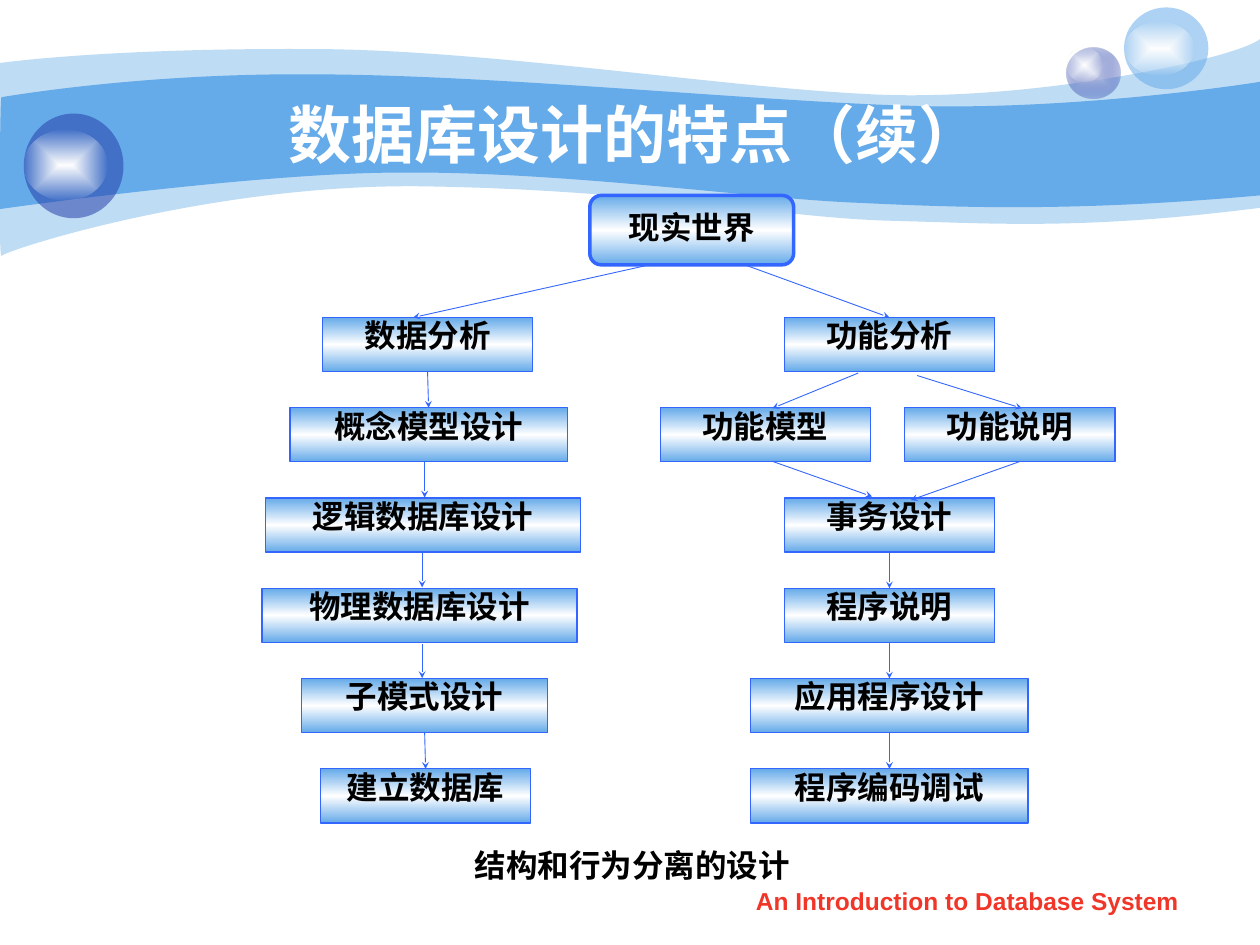
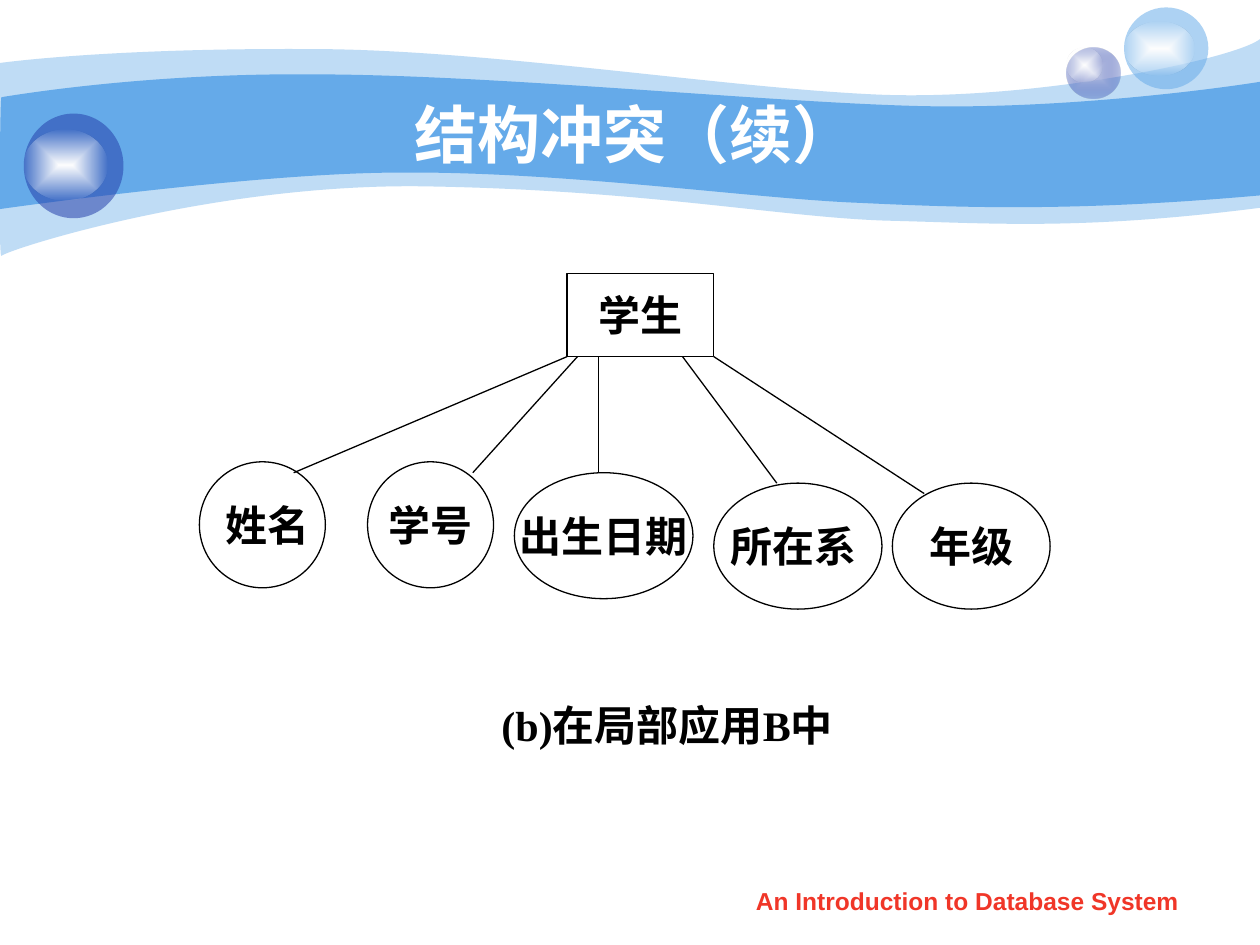
from lxml import etree
from pptx import Presentation
from pptx.dml.color import RGBColor
from pptx.enum.shapes import MSO_CONNECTOR, MSO_SHAPE
from pptx.enum.text import MSO_ANCHOR, PP_ALIGN
from pptx.oxml import parse_xml
from pptx.oxml.ns import nsdecls, qn
from pptx.util import Cm, Pt

WHITE = RGBColor(0xFF, 0xFF, 0xFF)
BLACK = RGBColor(0x00, 0x00, 0x00)
RED = RGBColor(0xF0, 0x36, 0x28)
SKY = RGBColor(0x65, 0xAA, 0xE9)
NAVY = RGBColor(0x23, 0x3D, 0xA9)
LILAC = RGBColor(0xC6, 0xCC, 0xE8)
EDGE_BLUE = RGBColor(0x33, 0x66, 0xFF)
SERIF, SANS = "Times New Roman", "Arial"

# Fills with transparency or several stops
COLOUR = '<a:srgbClr val="{}"><a:alpha val="{}000"/></a:srgbClr>'
SOLID = f"<a:solidFill {nsdecls('a')}>{COLOUR}</a:solidFill>"
GLOW = (f"<a:gradFill {nsdecls('a')}><a:gsLst>"
        f'<a:gs pos="0">{COLOUR}</a:gs><a:gs pos="100000">{COLOUR}</a:gs></a:gsLst>'
        '<a:path path="rect"><a:fillToRect l="50000" t="50000" r="50000" b="50000"/>'
        "</a:path></a:gradFill>")
SHINE = GLOW.format(WHITE, 100, "FEFEFE", 0)
STRIPE = (f"<a:gradFill {nsdecls('a')}><a:gsLst>"
          + "".join(f'<a:gs pos="{stop}000"><a:srgbClr val="{colour}"/></a:gs>'
                    for stop, colour in ((0, SKY), (50, WHITE), (100, SKY)))
          + '</a:gsLst><a:lin ang="5400000" scaled="0"/></a:gradFill>')


def add_box(page, preset, place, text="", size=18, font=SERIF, colour=BLACK, fill=None,
            edge=None, edge_width=0.75, anchor=MSO_ANCHOR.MIDDLE,
            align=PP_ALIGN.CENTER, wrap=False, spacing=None):
    """Place a preset shape, or a text box when preset is None (lengths in cm)."""
    place = [Cm(length) for length in place]
    if preset is None:
        box = page.shapes.add_textbox(*place)
    else:
        box = page.shapes.add_shape(preset, *place)
        box.shadow.inherit = False
        box.fill.background()
        if fill:
            properties = box._element.spPr
            properties.replace(properties.find(qn("a:noFill")), parse_xml(fill))
        if edge is None:
            box.line.fill.background()
        else:
            box.line.color.rgb = edge
            box.line.width = Pt(edge_width)
    if text:
        frame = box.text_frame
        frame.word_wrap = wrap
        frame.vertical_anchor = anchor
        para = frame.paragraphs[0]
        para.text = text
        para.alignment = align
        para.line_spacing = spacing
        para.font.name, para.font.size, para.font.bold = font, Pt(size), True
        para.font.color.rgb = colour
    return box


def add_line(page, start, end, colour, width, arrow=False):
    """Join two ends, each a point in cm or a box (bottom side to top side)."""
    first, last = [side if isinstance(side, tuple) else (0, 0) for side in (start, end)]
    line = page.shapes.add_connector(MSO_CONNECTOR.STRAIGHT, Cm(first[0]), Cm(first[1]),
                                     Cm(last[0]), Cm(last[1]))
    if not isinstance(start, tuple):
        line.begin_connect(start, 2)
    if not isinstance(end, tuple):
        line.end_connect(end, 0)
    line.line.color.rgb = colour
    line.line.width = Pt(width)
    if arrow:
        line.line._get_or_add_ln().append(
            parse_xml(f'<a:tailEnd {nsdecls("a")} type="stealth" w="sm" len="sm"/>'))
    line._element.spPr.append(parse_xml(f"<a:effectLst {nsdecls('a')}/>"))


# Waves: a start point, then curves (two controls and an end) or straight steps
WAVES = [
    (SOLID.format(SKY, 41), (0, 1.27), [
        (0.61, 1.19, 2.72, 0.97, 6.27, 0.99), (9.8, 0.99, 14.61, 1.78, 17.75, 1.91),
        (20.88, 2.03, 24.89, 1.19, 25.4, 0.79), (25.4, 4.19),
        (21.79, 4.65, 19.99, 4.5, 17.91, 4.45), (15.8, 4.39, 13.08, 3.84, 8.71, 3.76),
        (4.37, 3.66, 0.1, 5.05, 0.03, 5.16), (-0.03, 5.28, 0, 1.91, 0, 1.27)]),
    (SOLID.format(SKY, 100), (0.03, 1.96), [
        (0.05, 1.96, 2.79, 1.47, 6.3, 1.5), (9.8, 1.5, 15.11, 2.03, 18.24, 2.13),
        (21.36, 2.24, 24.79, 1.75, 25.4, 1.65), (25.4, 3.94),
        (21.67, 4.27, 19.43, 4.19, 17.32, 4.09), (15.21, 4.01, 11.35, 3.45, 8.05, 3.48),
        (5.16, 3.48, -0.05, 4.22, -0.03, 4.22), (0, 4.22, 0, 1.96, 0.03, 1.96)]),
]
BUBBLES = [
    ((21.51, 0.97, 1.07, 1.02), GLOW.format(LILAC, 100, NAVY, 31)),
    ((21.51, 0.97, 0.71, 0.69), SHINE),
    ((22.66, 0.15, 1.7, 1.65), SOLID.format(SKY, 53)),
    ((22.66, 0.43, 1.42, 1.09), SHINE),
    ((0.48, 2.29, 2.01, 2.11), SOLID.format(NAVY, 53)),
    ((0.48, 2.62, 1.68, 1.42), SHINE),
]

deck = Presentation()
deck.slide_width, deck.slide_height = Cm(25.4), Cm(19.05)

# Shared header, title and footer
pages = []
for title in ("数据库设计的特点（续）", "结构冲突（续）"):
    page = deck.slides.add_slide(deck.slide_layouts[6])
    pages.append(page)
    for fill, start, segments in WAVES:
        points = [(Cm(segment[i]), Cm(segment[i + 1]))
                  for segment in segments for i in range(0, len(segment), 2)]
        builder = page.shapes.build_freeform(Cm(start[0]), Cm(start[1]))
        builder.add_line_segments(points, close=True)
        wave = builder.convert_to_shape()
        wave.shadow.inherit = False
        wave.line.fill.background()
        wave.fill.background()
        properties = wave._element.spPr
        properties.replace(properties.find(qn("a:noFill")), parse_xml(fill))
        # Turn each run of two controls and an end into one curve
        corners = iter(list(properties.iter(qn("a:lnTo"))))
        for segment in segments:
            corner = next(corners)
            if len(segment) == 6:
                curve = etree.Element(qn("a:cubicBezTo"))
                corner.addprevious(curve)
                for part in (corner, next(corners), next(corners)):
                    curve.append(part[0])
                    part.getparent().remove(part)
    for place, fill in BUBBLES:
        add_box(page, MSO_SHAPE.OVAL, place, fill=fill)
    add_box(page, None, (2.54, 1.9, 20.52, 1.57), title, 36, SANS, WHITE, wrap=True)
    add_box(page, None, (14.5, 17.73, 10.01, 0.89), "An Introduction to Database System",
            14, SANS, RED, anchor=MSO_ANCHOR.TOP, wrap=True)

design_page, conflict_page = pages

# Slide 1: design steps as (text, centre, row, width)
FIRST_ROW, ROW_STEP, STEP_HEIGHT = 6.4, 1.82, 1.09
FUNCTION_CENTRE = 17.93
STEPS = [
    ("数据分析", 8.62, 0, 4.24),
    ("概念模型设计", 8.64, 1, 5.59),
    ("逻辑数据库设计", 8.53, 2, 6.35),
    ("物理数据库设计", 8.46, 3, 6.35),
    ("子模式设计", 8.56, 4, 4.95),
    ("建立数据库", 8.58, 5, 4.24),
    ("功能分析", FUNCTION_CENTRE, 0, 4.24),
    ("功能模型", 15.43, 1, 4.24),
    ("功能说明", 20.36, 1, 4.24),
    ("事务设计", FUNCTION_CENTRE, 2, 4.24),
    ("程序说明", FUNCTION_CENTRE, 3, 4.24),
    ("应用程序设计", FUNCTION_CENTRE, 4, 5.59),
    ("程序编码调试", FUNCTION_CENTRE, 5, 5.59),
]
steps = {}
for text, centre, row, width in STEPS:
    place = (centre - width / 2, FIRST_ROW + row * ROW_STEP, width, STEP_HEIGHT)
    steps[text] = add_box(design_page, MSO_SHAPE.RECTANGLE, place, text, fill=STRIPE,
                          edge=EDGE_BLUE, anchor=MSO_ANCHOR.TOP, wrap=True, spacing=0.8)

# Arrows between the steps
for start, end, width in (
    ((13.13, 5.33), (8.33, 6.4), 0.5),
    (steps["数据分析"], steps["概念模型设计"], 0.5),
    ((8.56, 9.32), (8.56, 10.03), 0.5),
    ((8.51, 11.15), (8.51, 11.84), 0.5),
    ((8.51, 12.98), (8.51, 13.67), 0.5),
    (steps["子模式设计"], steps["建立数据库"], 0.5),
    ((14.99, 5.33), steps["功能分析"], 0.5),
    ((17.3, 7.52), (15.57, 8.23), 0.5),
    ((18.49, 7.57), (20.6, 8.23), 0.5),
    ((15.57, 9.3), (17.58, 10.01), 0.5),
    ((20.57, 9.3), (18.36, 10.08), 0.5),
    (steps["事务设计"], steps["程序说明"], 0.5),
    (steps["程序说明"], steps["应用程序设计"], 0.5),
    (steps["应用程序设计"], steps["程序编码调试"], 0.75),
):
    add_line(design_page, start, end, EDGE_BLUE, width, arrow=True)

add_box(design_page, MSO_SHAPE.ROUNDED_RECTANGLE, (11.89, 3.94, 4.11, 1.4), "现实世界",
        fill=STRIPE, edge=EDGE_BLUE, edge_width=2, spacing=0.8)
add_box(design_page, None, (9.32, 16.92, 6.99, 1.02), "结构和行为分离的设计",
        align=PP_ALIGN.LEFT)

# Slide 2: the entity, its attributes and the lines between them
ENTITY_BOTTOM = 7.19
add_box(conflict_page, MSO_SHAPE.RECTANGLE, (11.43, 5.51, 2.95, 1.68), "学生", 24, edge=BLACK)
for text, left, top, width, line_start, line_end in (
    (" 姓名", 4.02, 9.31, 2.54, 11.43, (5.92, 9.53)),
    ("学号", 7.41, 9.31, 2.54, 11.64, (9.53, 9.53)),
    ("出生日期", 10.37, 9.53, 3.6, 12.07, (12.07, 9.53)),
    ("所在系 ", 14.39, 9.74, 3.39, 13.76, (15.66, 9.74)),
    ("年级", 17.99, 9.74, 3.18, 14.39, (18.63, 9.95)),
):
    add_box(conflict_page, MSO_SHAPE.OVAL, (left, top, width, 2.54), text, 24, edge=BLACK)
    add_line(conflict_page, (line_start, ENTITY_BOTTOM), line_end, BLACK, 0.75)
add_box(conflict_page, None, (9.32, 13.76, 8.26, 1.69), "(b)在局部应用B中", 24)

deck.save("out.pptx")
